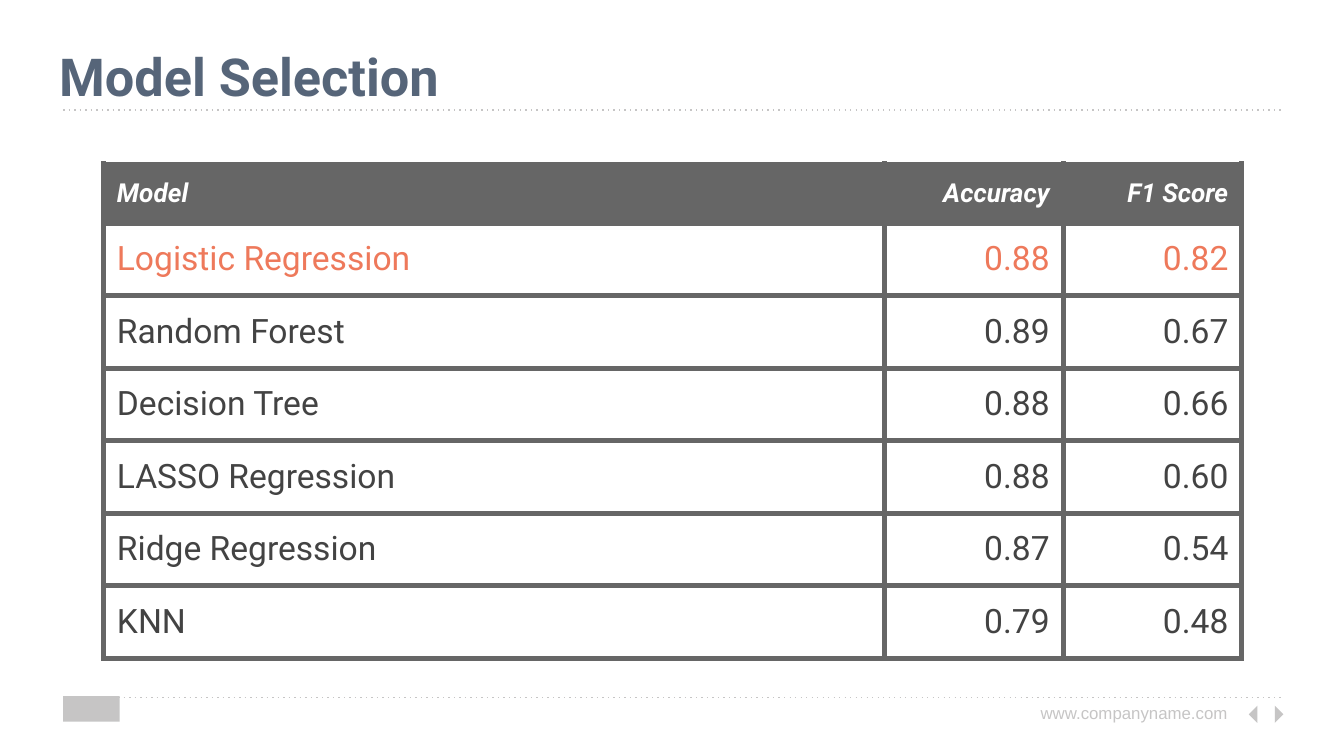
"""Build the Model Selection slide with its table of model scores."""
from lxml.etree import SubElement
from pptx import Presentation
from pptx.dml.color import RGBColor
from pptx.enum.shapes import MSO_CONNECTOR, MSO_SHAPE
from pptx.enum.text import MSO_ANCHOR, MSO_AUTO_SIZE, PP_ALIGN
from pptx.oxml import parse_xml
from pptx.oxml.ns import nsdecls, qn
from pptx.util import Inches, Pt

SLATE = RGBColor(0x56, 0x65, 0x79)
SILVER = RGBColor(0xC6, 0xC5, 0xC5)
GRAY = RGBColor(0x66, 0x66, 0x66)
CHARCOAL = RGBColor(0x43, 0x43, 0x43)
CORAL = RGBColor(0xEE, 0x79, 0x5B)
WHITE = RGBColor(0xFF, 0xFF, 0xFF)

SCORES = [
    ("Model", "Accuracy", "F1 Score"),
    ("Logistic Regression", "0.88", "0.82"),
    ("Random Forest", "0.89", "0.67"),
    ("Decision Tree", "0.88", "0.66"),
    ("LASSO Regression", "0.88", "0.60"),
    ("Ridge Regression", "0.87", "0.54"),
    ("KNN", "0.79", "0.48"),
]
COLUMN_WIDTHS = [5.81, 1.33, 1.33]
ROW_HEIGHTS = [0.44] + [0.54] * 6


def format_text(paragraph, name, size, color, bold=False, italic=False):
    font = paragraph.runs[0].font
    font.name, font.size, font.bold, font.italic = name, Pt(size), bold, italic
    font.color.rgb = color


def set_margins(box):
    box.margin_left = box.margin_right = Inches(0.1)
    box.margin_top = box.margin_bottom = Inches(0.1)


presentation = Presentation()
presentation.slide_width = Inches(10)
presentation.slide_height = Inches(10 * 9 / 16)
slide = presentation.slides.add_slide(presentation.slide_layouts[5])

title = slide.shapes.title
title.left, title.top = Inches(0.34), Inches(0.23)
title.width, title.height = Inches(9.32), Inches(0.51)
title.text_frame.text = "Model Selection"
title.text_frame.auto_size = MSO_AUTO_SIZE.NONE
title.text_frame.vertical_anchor = MSO_ANCHOR.TOP
set_margins(title.text_frame)
title.text_frame.paragraphs[0].alignment = PP_ALIGN.LEFT
format_text(title.text_frame.paragraphs[0], "Roboto", 28, SLATE, bold=True)

for kind, left, top, width, height, rotation in [
    (MSO_SHAPE.RECTANGLE, 0.47, 5.18, 0.42, 0.19, 0),
    (MSO_SHAPE.RIGHT_TRIANGLE, 9.31, 5.27, 0.09, 0.09, 45),
    (MSO_SHAPE.RIGHT_TRIANGLE, 9.44, 5.27, 0.09, 0.09, 225),
]:
    shape = slide.shapes.add_shape(kind, Inches(left), Inches(top), Inches(width), Inches(height))
    shape.rotation = rotation
    shape.shadow.inherit = False
    shape.fill.solid()
    shape.fill.fore_color.rgb = SILVER
    shape.line.fill.background()

for y in (0.82, 5.19):
    rule = slide.shapes.add_connector(
        MSO_CONNECTOR.STRAIGHT, Inches(0.47), Inches(y), Inches(9.53), Inches(y))
    rule.line.color.rgb = SILVER
    rule.line.width = Pt(0.75)
    SubElement(rule.line._get_or_add_ln(), qn("a:prstDash"), val="dot")
    SubElement(rule._element.spPr, qn("a:effectLst"))

website = slide.shapes.add_textbox(Inches(7.55), Inches(5.15), Inches(1.68), Inches(0.19))
website.text_frame.word_wrap = True
website.text_frame.text = "www.companyname.com"
set_margins(website.text_frame)
website.text_frame.paragraphs[0].alignment = PP_ALIGN.RIGHT
format_text(website.text_frame.paragraphs[0], "Arial", 9, SILVER)

table = slide.shapes.add_table(
    len(SCORES), len(COLUMN_WIDTHS), Inches(0.77), Inches(1.22),
    Inches(sum(COLUMN_WIDTHS)), Inches(sum(ROW_HEIGHTS))).table
for column, width in zip(table.columns, COLUMN_WIDTHS):
    column.width = Inches(width)
for row, height in zip(table.rows, ROW_HEIGHTS):
    row.height = Inches(height)

for row_index, values in enumerate(SCORES):
    is_header = row_index == 0
    color = {0: WHITE, 1: CORAL}.get(row_index, CHARCOAL)
    for column_index, value in enumerate(values):
        cell = table.cell(row_index, column_index)
        cell.text_frame.text = value
        cell.vertical_anchor = MSO_ANCHOR.MIDDLE
        set_margins(cell)
        paragraph = cell.text_frame.paragraphs[0]
        paragraph.alignment = PP_ALIGN.RIGHT if column_index else PP_ALIGN.LEFT
        format_text(paragraph, "Roboto", 14 if is_header else 18, color, is_header, is_header)
        properties = cell._tc.get_or_add_tcPr()
        for side in ("lnL", "lnR", "lnT", "lnB"):
            properties.append(parse_xml(
                f'<a:{side} {nsdecls("a")} w="{Pt(3)}"><a:solidFill>'
                f'<a:srgbClr val="{GRAY}"/></a:solidFill></a:{side}>'))
        if is_header:
            cell.fill.solid()
            cell.fill.fore_color.rgb = GRAY
        else:
            cell.fill.background()

presentation.save("out.pptx")
